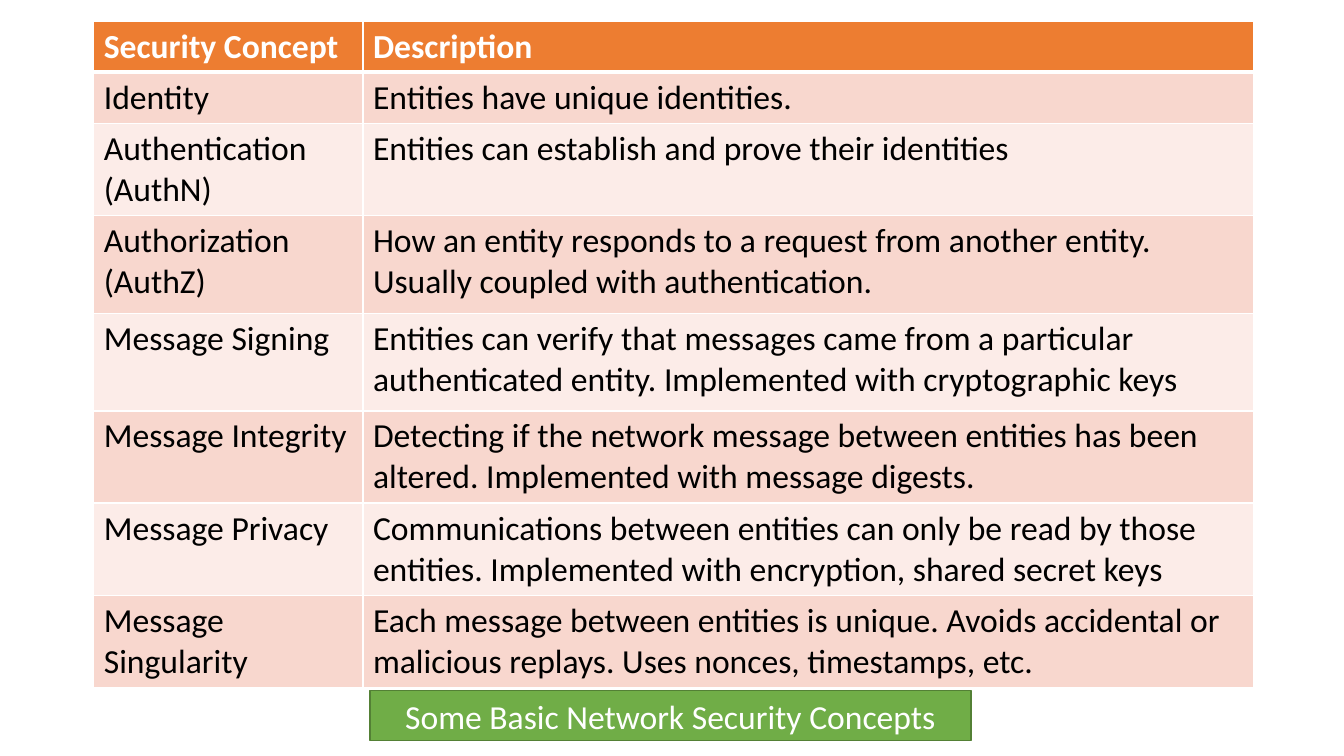
from pptx import Presentation
from pptx.dml.color import RGBColor
from pptx.enum.shapes import MSO_SHAPE
from pptx.enum.text import MSO_ANCHOR, PP_ALIGN
from pptx.util import Inches, Pt
from lxml.etree import SubElement
from pptx.oxml.ns import qn
from dataclasses import dataclass


@dataclass(frozen=True)
class Theme:
    font: str = "Calibri"
    size: int = 24
    white: str = "FFFFFF"
    text: str = "000000"
    header: str = "ED7D31"
    bands: tuple = ("F8D7CE", "FCECE8")
    caption: str = "70AD47"
    caption_line: str = "538035"
    rule: float = 1
    header_rule: float = 3


class SlideBuilder:
    def __init__(self, s, theme):
        self.s = s
        self.theme = theme

    def add_run(self, p, text, color, bold=False):
        r = p.add_run()
        r.text = text
        r.font.name = self.theme.font
        r.font.size = Pt(self.theme.size)
        r.font.bold = bold
        r.font.color.rgb = RGBColor.from_string(color)

    def fill(self, item, color):
        item.fill.solid()
        item.fill.fore_color.rgb = RGBColor.from_string(color)

    def borders(self, cell, widths):
        tc_pr = cell._tc.get_or_add_tcPr()
        # Border elements must precede the fill
        for i, (side, width) in enumerate(widths.items()):
            ln = SubElement(tc_pr, qn(f"a:ln{side}"), w=str(Pt(width)))
            solid = SubElement(ln, qn("a:solidFill"))
            SubElement(solid, qn("a:srgbClr"), val=self.theme.white)
            tc_pr.insert(i, ln)

    def table(self, rows, left, top, widths, heights):
        t = self.theme
        frame = self.s.shapes.add_table(
            len(rows), len(widths), Inches(left), Inches(top),
            Inches(sum(widths)), Inches(sum(heights)))
        table = frame.table
        for column, width in zip(table.columns, widths):
            column.width = Inches(width)
        for i, (texts, height) in enumerate(zip(rows, heights)):
            table.rows[i].height = Inches(height)
            is_header = i == 0
            for j, text in enumerate(texts):
                cell = table.cell(i, j)
                self.fill(cell, t.header if is_header else t.bands[(i - 1) % 2])
                self.borders(cell, {
                    "L": t.rule, "R": t.rule,
                    "T": t.header_rule if i == 1 else t.rule,
                    "B": t.header_rule if is_header else t.rule})
                self.add_run(cell.text_frame.paragraphs[0], text,
                             t.white if is_header else t.text, is_header)

    def caption(self, text, left, top, width, height):
        sp = self.s.shapes.add_shape(
            MSO_SHAPE.RECTANGLE, Inches(left), Inches(top),
            Inches(width), Inches(height))
        sp.shadow.inherit = False
        self.fill(sp, self.theme.caption)
        sp.line.color.rgb = RGBColor.from_string(self.theme.caption_line)
        sp.line.width = Pt(self.theme.rule)
        tf = sp.text_frame
        tf.word_wrap = True
        tf.vertical_anchor = MSO_ANCHOR.MIDDLE
        p = tf.paragraphs[0]
        p.alignment = PP_ALIGN.CENTER
        self.add_run(p, text, self.theme.white)


CONCEPTS = [
    ("Security Concept", "Description"),
    ("Identity", "Entities have unique identities."),
    ("Authentication (AuthN)", "Entities can establish and prove their identities"),
    ("Authorization (AuthZ)",
     "How an entity responds to a request from another entity. "
     "Usually coupled with authentication."),
    ("Message Signing",
     "Entities can verify that messages came from a particular "
     "authenticated entity. Implemented with cryptographic keys"),
    ("Message Integrity",
     "Detecting if the network message between entities has been altered. "
     "Implemented with message digests."),
    ("Message Privacy",
     "Communications between entities can only be read by those entities. "
     "Implemented with encryption, shared secret keys"),
    ("Message Singularity",
     "Each message between entities is unique. Avoids accidental or "
     "malicious replays. Uses nonces, timestamps, etc."),
]
ONE_LINE, TWO_LINES, TALL = 0.5, 0.91, 0.97


def main():
    prs = Presentation()
    prs.slide_width = Inches(13.33)
    prs.slide_height = Inches(7.5)
    slide = SlideBuilder(prs.slides.add_slide(prs.slide_layouts[6]), Theme())

    # Concept table
    heights = [ONE_LINE] * 2 + [TWO_LINES] + [TALL] * 2 + [TWO_LINES] * 3
    slide.table(CONCEPTS, 0.93, 0.21, (2.67, 8.83), heights)

    # Caption below the table
    slide.caption("Some Basic Network Security Concepts", 3.67, 6.85, 5.96, 0.5)

    prs.save("out.pptx")


if __name__ == "__main__":
    main()
